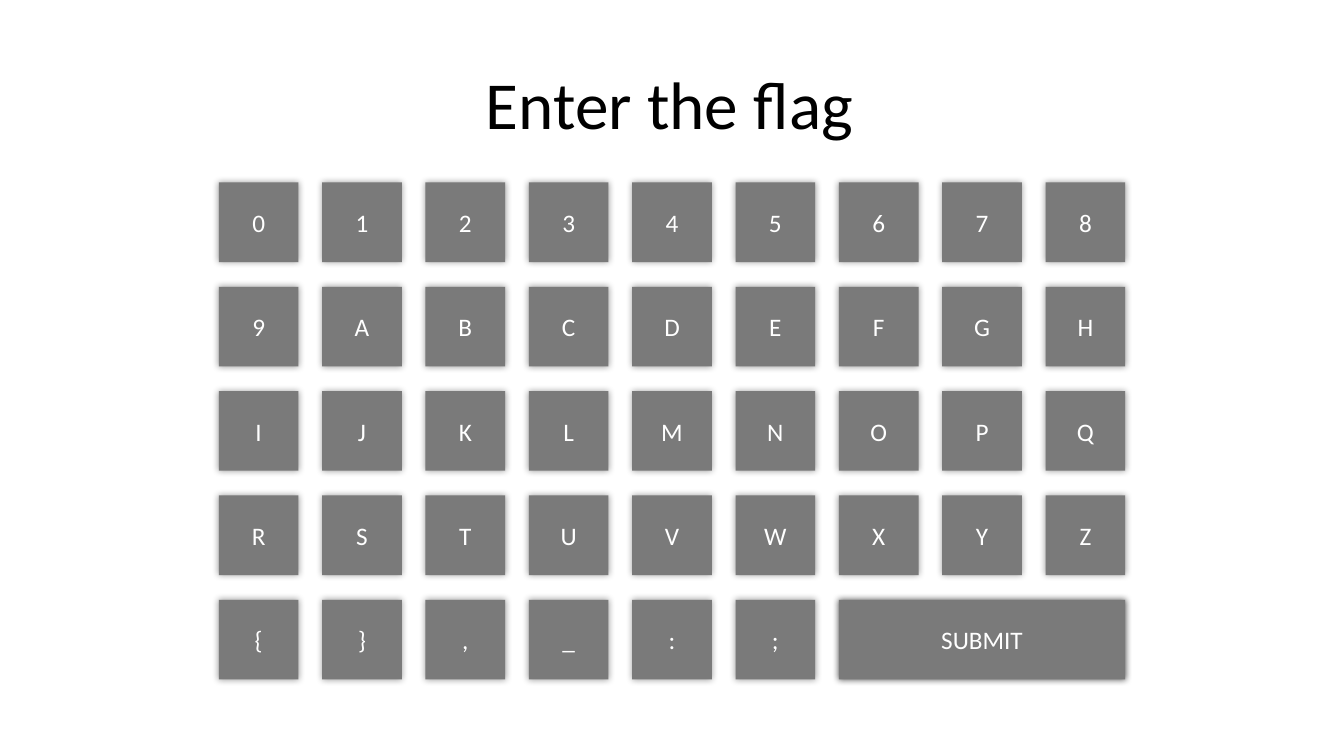
from lxml import etree
from pptx import Presentation
from pptx.dml.color import RGBColor
from pptx.enum.shapes import MSO_SHAPE
from pptx.enum.text import MSO_ANCHOR, MSO_AUTO_SIZE, PP_ALIGN
from pptx.oxml.ns import qn
from pptx.util import Inches, Pt

RECTANGLE = MSO_SHAPE.RECTANGLE
TOP, MIDDLE = MSO_ANCHOR.TOP, MSO_ANCHOR.MIDDLE
LEFT, CENTER = PP_ALIGN.LEFT, PP_ALIGN.CENTER
GROW = MSO_AUTO_SIZE.SHAPE_TO_FIT_TEXT

COLORS = {"title": "000000", "key": "7A7A7A", "label": "FFFFFF", "shadow": "000000"}
FONT = "Calibri"
TITLE_ONLY = 5

# Keyboard grid, in inches
KEY_SIZE = 0.79
COLUMNS, ROWS = 9, 5
GRID_LEFT, GRID_TOP = 2.17, 1.81
COLUMN_STEP = (10.37 - GRID_LEFT) / (COLUMNS - 1)
ROW_STEP = (5.95 - GRID_TOP) / (ROWS - 1)

KEY_ROWS = ["012345678", "9ABCDEFGH", "IJKLMNOPQ", "RSTUVWXYZ", "{},_:;"]
SUBMIT_COLUMN, SUBMIT_SPAN = 6, 3


def format_text(shape, text, size, color, alignment, anchor):
    """Write one line of text into a shape and format it."""
    text_frame = shape.text_frame
    text_frame.text = text
    text_frame.vertical_anchor = anchor
    paragraph = text_frame.paragraphs[0]
    paragraph.alignment = alignment
    font = paragraph.runs[0].font
    font.name = FONT
    font.size = Pt(size)
    font.color.rgb = RGBColor.from_string(COLORS[color])


def add_key(slide, label, row, column, span=1, shadow_opacity=40):
    """Add a key with a soft shadow at a grid cell, spanning some columns."""
    shape = slide.shapes.add_shape(
        RECTANGLE,
        Inches(GRID_LEFT + column * COLUMN_STEP),
        Inches(GRID_TOP + row * ROW_STEP),
        Inches(KEY_SIZE + (span - 1) * COLUMN_STEP),
        Inches(KEY_SIZE),
    )
    shape.fill.solid()
    shape.fill.fore_color.rgb = RGBColor.from_string(COLORS["key"])
    shape.line.fill.background()
    shape.shadow.inherit = False
    effects = shape._element.spPr.find(qn("a:effectLst"))
    shadow = etree.SubElement(effects, qn("a:outerShdw"), blurRad=str(Pt(5)), dist="0")
    color = etree.SubElement(shadow, qn("a:srgbClr"), val=COLORS["shadow"])
    etree.SubElement(color, qn("a:alpha"), val=str(shadow_opacity * 1000))
    format_text(shape, label, 18, "label", CENTER, MIDDLE)


presentation = Presentation()
presentation.slide_width = Inches(13.33)
presentation.slide_height = Inches(7.5)
slide = presentation.slides.add_slide(presentation.slide_layouts[TITLE_ONLY])

title = slide.shapes.title
title.left, title.top = Inches(4.72), Inches(0.57)
title.width, title.height = Inches(3.89), Inches(0.91)
format_text(title, "Enter the flag", 48, "title", LEFT, TOP)
title.text_frame.word_wrap = False
title.text_frame.auto_size = GROW

for row, labels in enumerate(KEY_ROWS):
    for column, label in enumerate(labels):
        add_key(slide, label, row, column)

add_key(slide, "SUBMIT", ROWS - 1, SUBMIT_COLUMN, SUBMIT_SPAN, shadow_opacity=64)

presentation.save("out.pptx")
